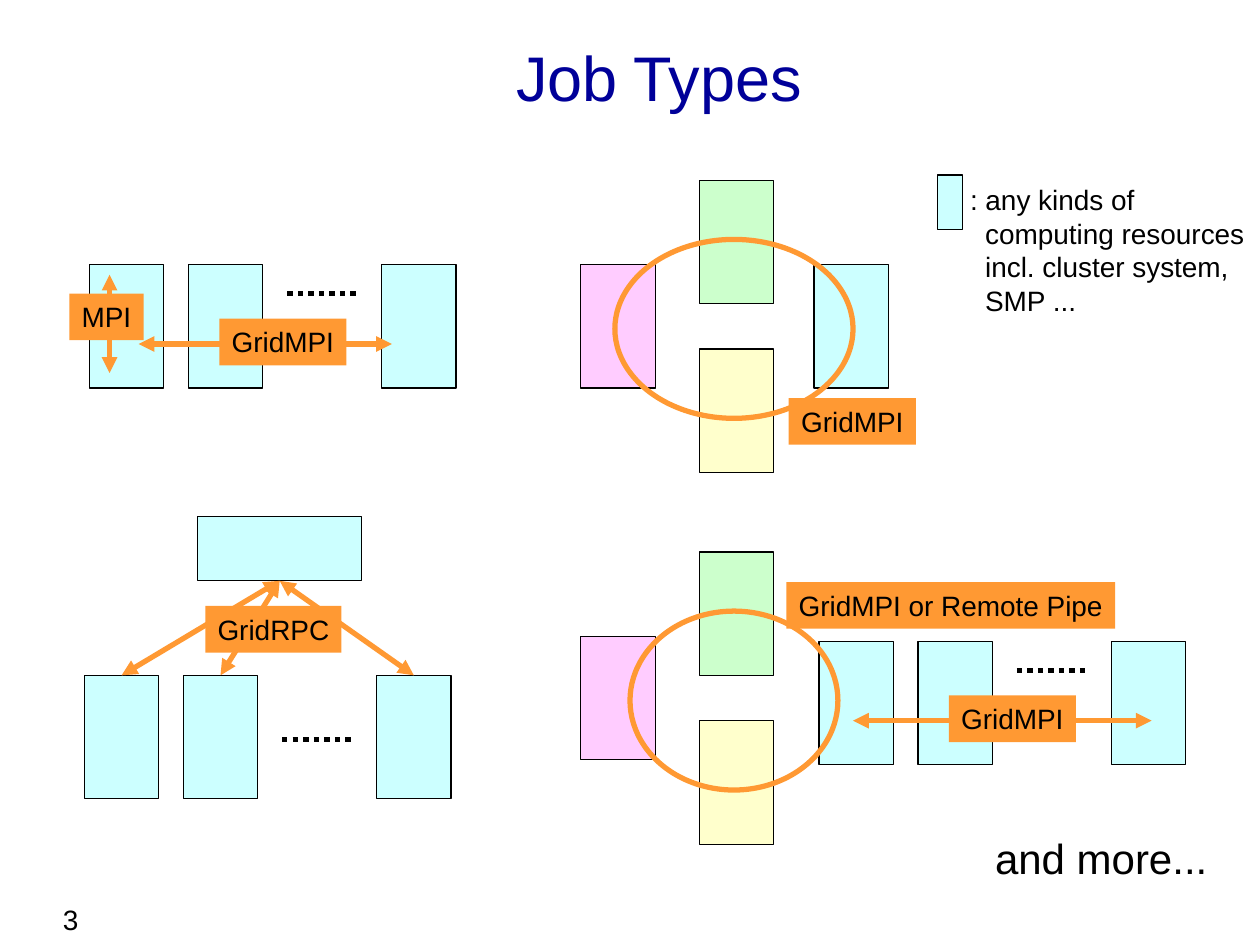
from dataclasses import dataclass
from typing import NamedTuple

from lxml import etree
from pptx import Presentation, util as u
from pptx.dml.color import RGBColor
from pptx.enum import dml, shapes, text
from pptx.oxml.ns import qn


@dataclass(frozen=True)
class Theme:
    font: str = "Arial"
    ink: str = "000000"
    title: str = "000099"
    accent: str = "FF9933"
    cyan: str = "CCFFFF"
    pink: str = "FFCCFF"
    green: str = "CCFFCC"
    yellow: str = "FFFFCC"
    small: int = 16
    medium: int = 24
    large: int = 36
    thin: float = 0.75
    thick: float = 3


class Box(NamedTuple):
    """A place on a grid of 100 columns by 75 rows."""
    x: float
    y: float
    w: float
    h: float


class Label(NamedTuple):
    words: str
    box: Box
    align: text.PP_ALIGN = text.PP_ALIGN.CENTER


T = Theme()
LEFT, MID, RIGHT = text.PP_ALIGN.LEFT, text.PP_ALIGN.CENTER, text.PP_ALIGN.RIGHT
PADS = {LEFT: (0.1, 0), MID: (0, 0), RIGHT: (0, 0.1)}   # left and right inches
NODE = (5.9, 9.8)
STEPS = (0, 7.85, 23.2)      # columns from the first node of a row
DOTS = (15.7, 21.2)          # ends of the ellipsis in a row
ARMS = ((0, 6.7, T.pink), (9.4, 0, T.green),
        (18.5, 6.7, T.cyan), (9.4, 13.4, T.yellow))

prs = Presentation()
prs.slide_width, prs.slide_height = u.Inches(10), u.Inches(7.5)
COL, ROW = prs.slide_width / 100, prs.slide_height / 75
slide = prs.slides.add_slide(prs.slide_layouts[6])


def place(box: Box) -> tuple:
    return (round(box.x * COL), round(box.y * ROW),
            round(box.w * COL), round(box.h * ROW))


def shape(box: Box, fill: str = "", line: str = "", width: float = T.thin,
          kind=shapes.MSO_SHAPE.RECTANGLE):
    """Draw a preset shape; an empty colour means no fill or no line."""
    item = slide.shapes.add_shape(kind, *place(box))
    item.shadow.inherit = False
    if fill:
        item.fill.solid()
        item.fill.fore_color.rgb = RGBColor.from_string(fill)
    else:
        item.fill.background()
    if line:
        item.line.color.rgb = RGBColor.from_string(line)
        item.line.width = u.Pt(width)
    else:
        item.line.fill.background()
    return item


def node(x: float, y: float, fill: str = T.cyan):
    return shape(Box(x, y, *NODE), fill, T.ink)


def ring(box: Box) -> None:
    shape(box, line=T.accent, width=T.thick, kind=shapes.MSO_SHAPE.OVAL)


def write(item, words: str, size: int, align=LEFT, color: str = T.ink,
          anchor=text.MSO_ANCHOR.TOP, hang: float = 0) -> None:
    """Fill a frame, one paragraph a line; hang indents all but the first."""
    frame = item.text_frame
    frame.text = words
    frame.word_wrap = True
    frame.auto_size = text.MSO_AUTO_SIZE.NONE
    frame.vertical_anchor = anchor
    frame.margin_left, frame.margin_right = map(u.Inches, PADS[align])
    for i, para in enumerate(frame.paragraphs):
        para.alignment = align
        if hang and i:
            para._p.get_or_add_pPr().set("marL", str(u.Inches(hang)))
        para.font.name, para.font.size = T.font, u.Pt(size)
        para.font.color.rgb = RGBColor.from_string(color)


def note(box: Box, words: str, size: int, **style) -> None:
    write(slide.shapes.add_textbox(*place(box)), words, size, **style)


def tag(label: Label) -> None:
    write(shape(label.box, T.accent), label.words, T.small, label.align)


def line(x1: float, y1: float, x2: float, y2: float, color: str):
    item = slide.shapes.add_connector(
        shapes.MSO_CONNECTOR.STRAIGHT, round(x1 * COL), round(y1 * ROW),
        round(x2 * COL), round(y2 * ROW))
    item.line.color.rgb = RGBColor.from_string(color)
    item.line.width = u.Pt(T.thick)
    etree.SubElement(item._element.spPr, qn("a:effectLst"))
    return item


def arrow(x1: float = 0, y1: float = 0, x2: float = 0, y2: float = 0):
    """Draw a line with a head at both ends."""
    item = line(x1, y1, x2, y2, T.accent)
    for end in ("a:headEnd", "a:tailEnd"):
        etree.SubElement(item.line._get_or_add_ln(), qn(end), type="triangle")
    return item


def row(x: float, y: float, drop: float) -> list:
    """Draw three nodes, with an ellipsis that many rows below their top."""
    nodes = [node(x + step, y) for step in STEPS]
    dots = line(x + DOTS[0], y + drop, x + DOTS[1], y + drop, T.ink)
    dots.line.dash_style = dml.MSO_LINE.ROUND_DOT
    return nodes


def cross(x: float, y: float, skip: str = "") -> None:
    for dx, dy, fill in ARMS:
        if fill != skip:
            node(x + dx, y + dy, fill)


def tree(x: float, y: float) -> None:
    """Draw a master node linked to a row of workers."""
    kids = row(x, y, 5.1)
    root = shape(Box(x + 9, y - 12.6, 13, 5.1), T.cyan, T.ink)
    for kid in kids:
        link = arrow()
        link.begin_connect(root, 2)
        link.end_connect(kid, 0)


def main() -> None:
    note(Box(0.8, 71.1, 6.4, 3.9), "3", T.small, align=RIGHT)
    note(Box(12.2, 2.1, 80.2, 7.9), "Job Types", T.large, align=MID,
         color=T.title, anchor=text.MSO_ANCHOR.MIDDLE)

    row(7.1, 21, 2.3)
    arrow(11, 27.3, 31.1, 27.3)
    tag(Label("GridMPI", Box(17.4, 25.3, 10.1, 3.7), LEFT))
    arrow(8.7, 21.8, 8.7, 29.6)
    tag(Label("MPI", Box(5.5, 23.3, 5.9, 3.7)))

    tree(6.7, 53.6)
    tag(Label("GridRPC", Box(16.3, 48.1, 10.8, 3.7)))

    cross(46.1, 14.3)
    ring(Box(48.8, 19, 18.9, 14.2))
    tag(Label("GridMPI", Box(62.6, 31.6, 10.1, 3.7)))

    row(65, 50.9, 2.3)
    arrow(67.7, 57.2, 91.4, 57.2)
    tag(Label("GridMPI", Box(75.3, 55.2, 10.1, 3.7), LEFT))
    cross(46.1, 43.8, skip=T.cyan)
    ring(Box(50, 48.5, 16.5, 14.2))
    tag(Label("GridMPI or Remote Pipe", Box(62.4, 46.2, 26.1, 3.7), LEFT))

    shape(Box(74.4, 13.9, 2, 4.3), T.cyan, T.ink)
    note(Box(76, 14, 23.8, 11.7), ": any kinds of\ncomputing resources\n"
         "incl. cluster system,\nSMP ...", T.small, hang=0.12)
    note(Box(78, 65.6, 18.8, 5), "and more...", T.medium, align=MID)
    prs.save("out.pptx")


if __name__ == "__main__":
    main()
